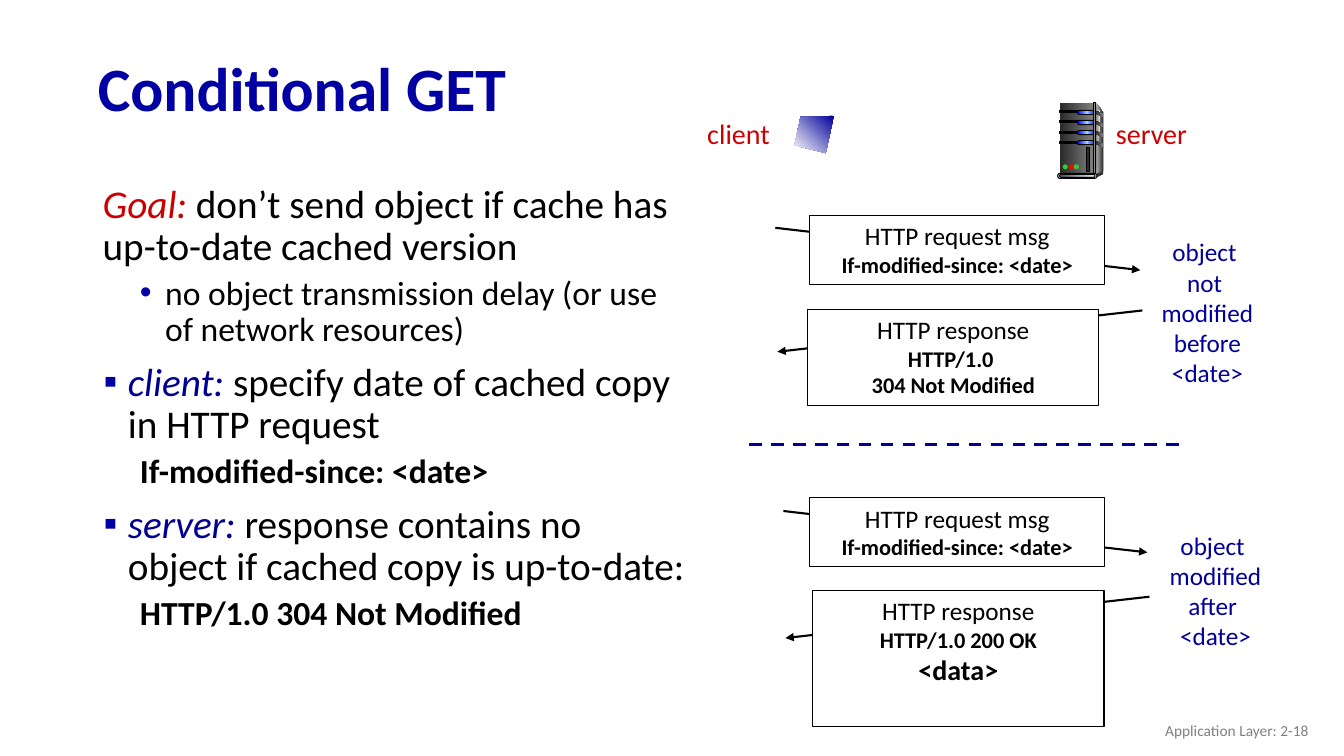
from dataclasses import dataclass
from typing import Any, Optional

from lxml import etree
from pptx import Presentation
from pptx import util as u
from pptx.dml.color import RGBColor
from pptx.enum import dml, shapes, text
from pptx.oxml.ns import qn

RECT, ROUND, OVAL = (shapes.MSO_SHAPE.RECTANGLE, shapes.MSO_SHAPE.ROUNDED_RECTANGLE,
                     shapes.MSO_SHAPE.OVAL)
LEFT, CENTER, RIGHT = text.PP_ALIGN.LEFT, text.PP_ALIGN.CENTER, text.PP_ALIGN.RIGHT
TOP, MIDDLE = text.MSO_ANCHOR.TOP, text.MSO_ANCHOR.MIDDLE


@dataclass(frozen=True)
class Theme:
    font: str = "Calibri"
    title: str = "0000A3"
    role: str = "000090"
    note: str = "000099"
    accent: str = "CC0000"
    ink: str = "000000"
    paper: str = "FFFFFF"
    footer: str = "808080"
    title_size: int = 44
    body_size: int = 28
    sub_size: int = 24
    label_size: int = 20
    message_size: int = 18
    header_size: int = 16
    footer_size: int = 11
    dark: str = "292929"
    foot: str = "333333"
    rim: str = "DDDDDD"
    green: str = "33CC33"
    red: str = "FF0000"
    metal: tuple = ("292929", "808080")
    side: tuple = ("DDDDDD", "333333")
    panel: tuple = ("808080", "F8F8F8")
    edge: tuple = ("333333", "DDDDDD", "333333")
    bay: tuple = ("0000FF", "99CCFF", "0000FF")
    base: tuple = ("44546A", "E7E6E6")


THEME = Theme()


@dataclass
class Span:
    words: str
    size: int
    color: str = THEME.ink
    bold: bool = False
    italic: bool = False


@dataclass
class Para:
    spans: list
    align: Any = LEFT
    margin: float = 0
    indent: float = 0
    spacing: Optional[float] = None
    before: int = 0
    bullet: str = ""
    level: int = 0


@dataclass
class Message:
    at: tuple
    arrow: tuple
    lines: list


def assign(target: Any, values: dict) -> None:
    for name, value in values.items():
        setattr(target, name, value)


def place(shape: Any, at: tuple) -> None:
    assign(shape, dict(zip(("left", "top", "width", "height"), map(u.Inches, at))))


def write(shape: Any, paras: list, anchor: Any = TOP, wrap: bool = True) -> None:
    frame = shape.text_frame
    assign(frame, {"word_wrap": wrap, "vertical_anchor": anchor,
                   "auto_size": text.MSO_AUTO_SIZE.NONE})
    for index, para in enumerate(paras):
        line = frame.paragraphs[0] if index == 0 else frame.add_paragraph()
        assign(line, {"alignment": para.align, "level": para.level, "line_spacing": para.spacing,
                      "space_before": u.Pt(para.before)})
        props = line._p.get_or_add_pPr()
        props.set("marL", str(u.Inches(para.margin)))
        props.set("indent", str(u.Inches(para.indent)))
        if para.bullet:
            color = etree.SubElement(props, qn("a:buClr"))
            etree.SubElement(color, qn("a:srgbClr"), val=THEME.title)
            etree.SubElement(props, qn("a:buFont"), typeface="Arial")
            etree.SubElement(props, qn("a:buChar"), char=para.bullet)
        for span in para.spans:
            run = line.add_run()
            run.text = span.words
            assign(run.font, {"name": THEME.font, "size": u.Pt(span.size),
                              "bold": span.bold, "italic": span.italic})
            run.font.color.rgb = RGBColor.from_string(span.color)


def add_text(page: Any, at: tuple, paras: list, anchor: Any = TOP, wrap: bool = True) -> None:
    write(page.shapes.add_textbox(*map(u.Inches, at)), paras, anchor, wrap)


def paint(shape: Any, fill: Any, outline: bool = False, angle: int = 0) -> None:
    shape.shadow.inherit = False
    if isinstance(fill, str):
        shape.fill.solid()
        shape.fill.fore_color.rgb = RGBColor.from_string(fill)
    else:
        # Evenly spread gradient stops
        shape.fill.gradient()
        shape.fill.gradient_angle = angle
        stops = shape.element.spPr.find(".//" + qn("a:gsLst"))
        for stop in list(stops):
            stops.remove(stop)
        for index, color in enumerate(fill):
            stop = etree.SubElement(stops, qn("a:gs"), pos=str(100000 * index // (len(fill) - 1)))
            etree.SubElement(stop, qn("a:srgbClr"), val=color)
    if outline:
        shape.line.width = u.Pt(0.75)
        shape.line.color.rgb = RGBColor.from_string(THEME.ink)
    else:
        shape.line.fill.background()


def add_block(page: Any, kind: Any, at: tuple, fill: Any, outline: bool = False) -> Any:
    block = page.shapes.add_shape(kind, *map(u.Inches, at))
    if kind == ROUND:
        block.adjustments[0] = 0.5
    paint(block, fill, outline)
    return block


def add_outline(page: Any, points: list, fill: Any, angle: int = 0) -> None:
    corners = [(u.Inches(x), u.Inches(y)) for x, y in points]
    builder = page.shapes.build_freeform(*corners[0])
    builder.add_line_segments(corners[1:], close=True)
    paint(builder.convert_to_shape(), fill, angle=angle)


def add_line(page: Any, ends: tuple, color: str, width: float, dashed: bool = False) -> None:
    line = page.shapes.add_connector(shapes.MSO_CONNECTOR.STRAIGHT, *map(u.Inches, ends))
    line.line.width = u.Pt(width)
    line.line.color.rgb = RGBColor.from_string(color)
    props = line.element.spPr
    if dashed:
        line.line.dash_style = dml.MSO_LINE.DASH
    else:
        etree.SubElement(props.find(qn("a:ln")), qn("a:tailEnd"), type="triangle")
    etree.SubElement(props, qn("a:effectLst"))


def draw_server(page: Any) -> None:
    # Cabinet
    add_outline(page, [(10.87, 1.02), (10.94, 1.11), (10.94, 1.7), (10.85, 1.74)], THEME.side)
    add_block(page, RECT, (10.51, 1.02, 0.34, 0.72), THEME.metal)
    add_outline(page, [(10.87, 1.06), (10.92, 1.12), (10.88, 1.5), (10.87, 1.72)], THEME.panel)
    # Drive bays and side vents
    for top in (1.1, 1.2, 1.3, 1.4):
        add_block(page, RECT, (10.51, top, 0.19, 0.02), THEME.ink, True)
        add_block(page, ROUND, (10.68, top - 0.01, 0.19, 0.05), THEME.ink)
        add_block(page, ROUND, (10.69, top, 0.18, 0.03), THEME.bay)
        add_outline(page, [(10.87, top), (10.94, top + 0.03), (10.94, top + 0.06),
                           (10.87, top + 0.03)], THEME.metal)
    # Edge, base and lights
    add_block(page, RECT, (10.85, 1.02, 0.02, 0.72), THEME.edge, True)
    add_outline(page, [(10.86, 1.73), (10.86, 1.77), (10.94, 1.73), (10.94, 1.7)], THEME.foot)
    add_block(page, ROUND, (10.49, 1.72, 0.39, 0.05), THEME.rim, True)
    add_block(page, ROUND, (10.51, 1.73, 0.35, 0.03), THEME.base, True)
    for left, color in ((10.54, THEME.green), (10.6, THEME.red), (10.65, THEME.green)):
        add_block(page, OVAL, (left, 1.63, 0.05, 0.05), color)
    add_block(page, RECT, (10.78, 1.46, 0.03, 0.24), THEME.dark, True)


def point(role: str, words: str, color: str = THEME.role, **layout: Any) -> Para:
    return Para([Span(role, THEME.body_size, color, italic=True), Span(words, THEME.body_size)],
                spacing=0.9, **layout)


def detail(words: str, bold: bool = True, bullet: str = "") -> Para:
    return Para([Span(words, THEME.sub_size, bold=bold)], margin=0.76, indent=-0.25,
                spacing=0.9, before=5, bullet=bullet, level=1)


def centered(words: str, size: int, color: str = THEME.ink, bold: bool = False) -> Para:
    return Para([Span(words, size, color, bold)], align=CENTER)


# Page content
deck = Presentation()
assign(deck, {"slide_width": u.Inches(13.33), "slide_height": u.Inches(7.5)})
page = deck.slides.add_slide(deck.slide_layouts[5])

# Title and body
place(page.shapes.title, (0.87, 0.42, 11.5, 0.98))
write(page.shapes.title, [Para([Span("Conditional GET", THEME.title_size, THEME.title, True)],
                               spacing=0.9)], MIDDLE)
item = {"margin": 0.39, "indent": -0.24, "before": 10, "bullet": "▪"}
add_text(page, (0.78, 1.78, 6.12, 5.61), [
    point("Goal:", " don’t send object if cache has up-to-date cached version",
          THEME.accent, margin=0.14),
    detail("no object transmission delay (or use of network resources)", False, "•"),
    point("client: ", "specify date of cached copy in HTTP request", **item),
    detail("If-modified-since: <date>"),
    point("server: ", "response contains no object if cached copy is up-to-date:", **item),
    detail("HTTP/1.0 304 Not Modified")])

# Message exchanges
header = THEME.header_size
request = [("If-modified-since: <date>", header)]
for message in (
        Message((8.03, 2.14, 2.93, 0.68), (7.69, 2.26, 11.31, 2.68), request),
        Message((8.01, 3.07, 2.89, 0.95), (11.33, 3.08, 7.71, 3.49),
                [("HTTP/1.0 ", header), ("304 Not Modified", header)]),
        Message((8.03, 4.94, 2.93, 0.68), (7.77, 5.07, 11.38, 5.48), request),
        Message((8.06, 5.86, 2.89, 1.35), (11.4, 5.92, 7.79, 6.33),
                [("HTTP/1.0 200 OK", header), ("<data>", THEME.label_size)])):
    add_line(page, message.arrow, THEME.ink, 1.5)
    heading = "HTTP request msg" if message.lines is request else "HTTP response"
    write(add_block(page, RECT, message.at, THEME.paper, True),
          [centered(heading, THEME.message_size)]
          + [centered(words, size, bold=True) for words, size in message.lines])
add_line(page, (7.43, 4.41, 11.7, 4.41), THEME.note, 2.25, True)

# Notes and role labels
for at, lines, size, color in (
        ((11.4, 2.3, 1.15, 1.6), ("object ", "not ", "modified", "before", "<date>"),
         THEME.message_size, THEME.note),
        ((11.48, 5.21, 1.15, 1.3), ("object ", "modified", "after ", "<date>"),
         THEME.message_size, THEME.note),
        ((6.9, 1.11, 0.85, 0.43), ("client",), THEME.label_size, THEME.accent),
        ((10.96, 1.11, 0.92, 0.44), ("server",), THEME.label_size, THEME.accent)):
    add_text(page, at, [centered(words, size, color) for words in lines], wrap=False)

# Server, client screen and footer
draw_server(page)
add_outline(page, [(8.27, 1.15), (7.94, 1.16), (7.88, 1.44), (8.19, 1.52)],
            (THEME.note, THEME.paper), 225)
add_text(page, (10.08, 7.05, 3, 0.4), [Para(
    [Span("Application Layer: 2-18", THEME.footer_size, THEME.footer)], RIGHT)], MIDDLE)
deck.save("out.pptx")
